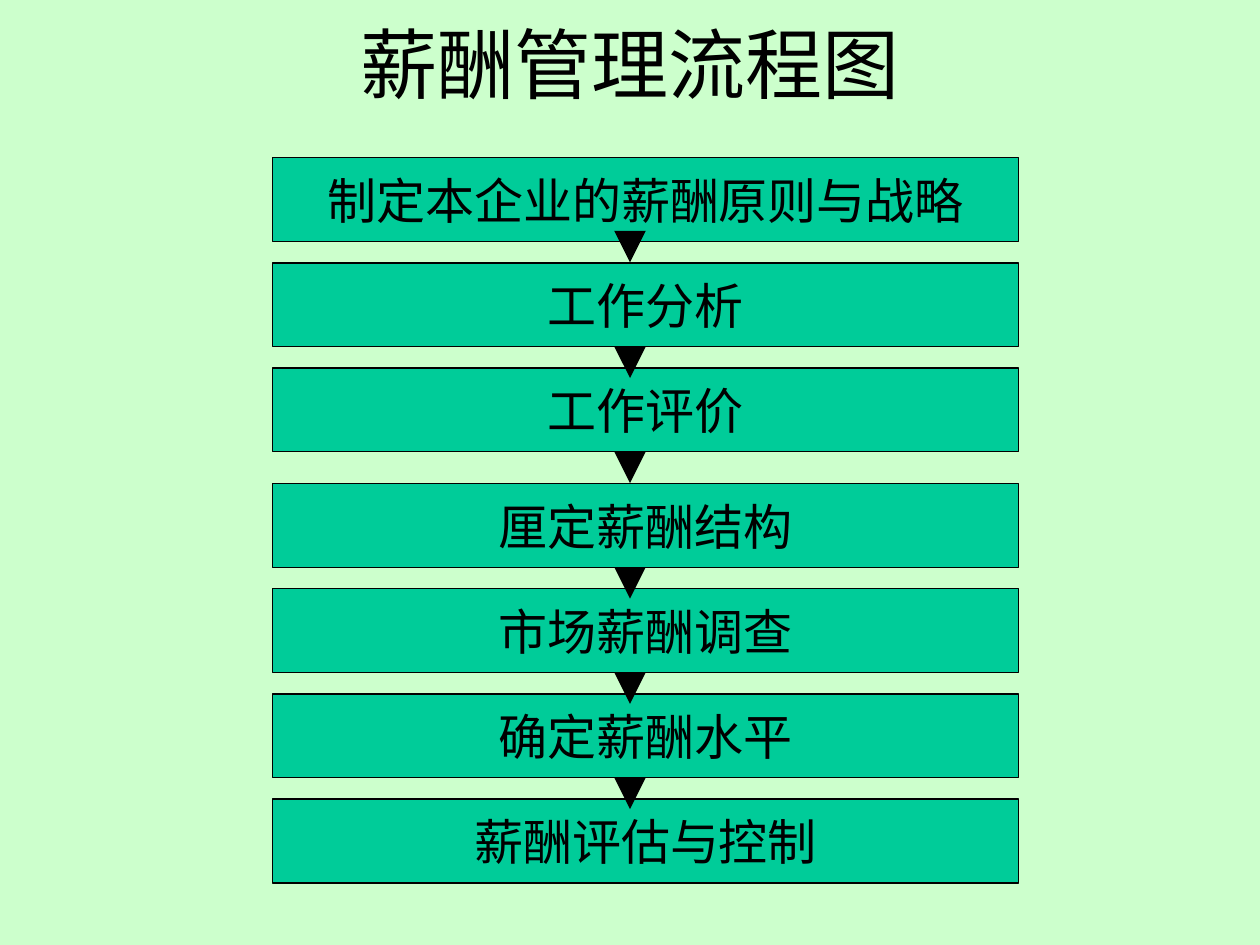
"""Build the pay management flow chart slide."""
from lxml import etree
from pptx import Presentation
from pptx.dml.color import RGBColor
from pptx.enum import shapes, text
from pptx.oxml import ns
from pptx.util import Cm, Pt

TITLE = "薪酬管理流程图"
STEPS = [
    "制定本企业的薪酬原则与战略",
    "工作分析",
    "工作评价",
    "厘定薪酬结构",
    "市场薪酬调查",
    "确定薪酬水平",
    "薪酬评估与控制",
]

MINT = RGBColor(0xCC, 0xFF, 0xCC)
GREEN = RGBColor(0x00, 0xCC, 0x99)
BLACK = RGBColor(0, 0, 0)

BOX_LEFT, BOX_WIDTH, BOX_HEIGHT = 5.5, 15.03, 1.69
FIRST_TOP, STEP_PITCH = 3.18, 2.12
SHIFT, SHIFT_FROM = 0.21, 3
ARROW_X, ARROW_LENGTH = 12.7, 0.42

FRAME_FORMAT = {
    "vertical_anchor": text.MSO_ANCHOR.MIDDLE,
    "margin_left": Cm(0.25),
    "margin_right": Cm(0.25),
    "margin_top": Cm(0.13),
    "margin_bottom": Cm(0.13),
}


def apply(target, values):
    """Set every attribute named in values on target."""
    for name, value in values.items():
        setattr(target, name, value)


def write(box, words, size, wrap):
    """Put one centred line of text in a box."""
    frame = box.text_frame
    apply(frame, {**FRAME_FORMAT, "word_wrap": wrap})
    para = frame.paragraphs[0]
    para.alignment = text.PP_ALIGN.CENTER
    span = para.add_run()
    span.text = words
    apply(span.font, {"name": "Times New Roman", "size": Pt(size)})
    span.font.color.rgb = BLACK


def step_top(index):
    """Return the top of a step box in centimetres."""
    return FIRST_TOP + index * STEP_PITCH + (SHIFT if index >= SHIFT_FROM else 0)


def add_step(page, index, words):
    """Draw one step of the flow."""
    box = page.shapes.add_shape(
        shapes.MSO_SHAPE.RECTANGLE,
        Cm(BOX_LEFT), Cm(step_top(index)), Cm(BOX_WIDTH), Cm(BOX_HEIGHT))
    box.shadow.inherit = False
    box.fill.solid()
    box.fill.fore_color.rgb = GREEN
    box.line.color.rgb = BLACK
    box.line.width = Pt(0.75)
    write(box, words, 28, False)


def add_arrow(page, index):
    """Draw the arrow that leaves a step."""
    top = step_top(index) + BOX_HEIGHT
    if 0 < index:
        top += SHIFT
    arrow = page.shapes.add_connector(
        shapes.MSO_CONNECTOR.STRAIGHT,
        Cm(ARROW_X), Cm(top), Cm(ARROW_X), Cm(top + ARROW_LENGTH))
    arrow.line.color.rgb = BLACK
    arrow.line.width = Pt(6)
    etree.SubElement(arrow.line._get_or_add_ln(), ns.qn("a:tailEnd"), type="triangle")
    etree.SubElement(arrow._element.spPr, ns.qn("a:effectLst"))


def main():
    """Create and save the deck."""
    deck = Presentation()
    apply(deck, {"slide_width": Cm(25.4), "slide_height": Cm(19.05)})
    page = deck.slides.add_slide(deck.slide_layouts[6])
    page.background.fill.solid()
    page.background.fill.fore_color.rgb = MINT

    title = page.shapes.add_textbox(Cm(1.9), Cm(0.21), Cm(21.6), Cm(2.12))
    write(title, TITLE, 44, True)
    for index, words in enumerate(STEPS):
        add_step(page, index, words)
    for index in range(len(STEPS) - 1):
        add_arrow(page, index)
    deck.save("out.pptx")


if __name__ == "__main__":
    main()
